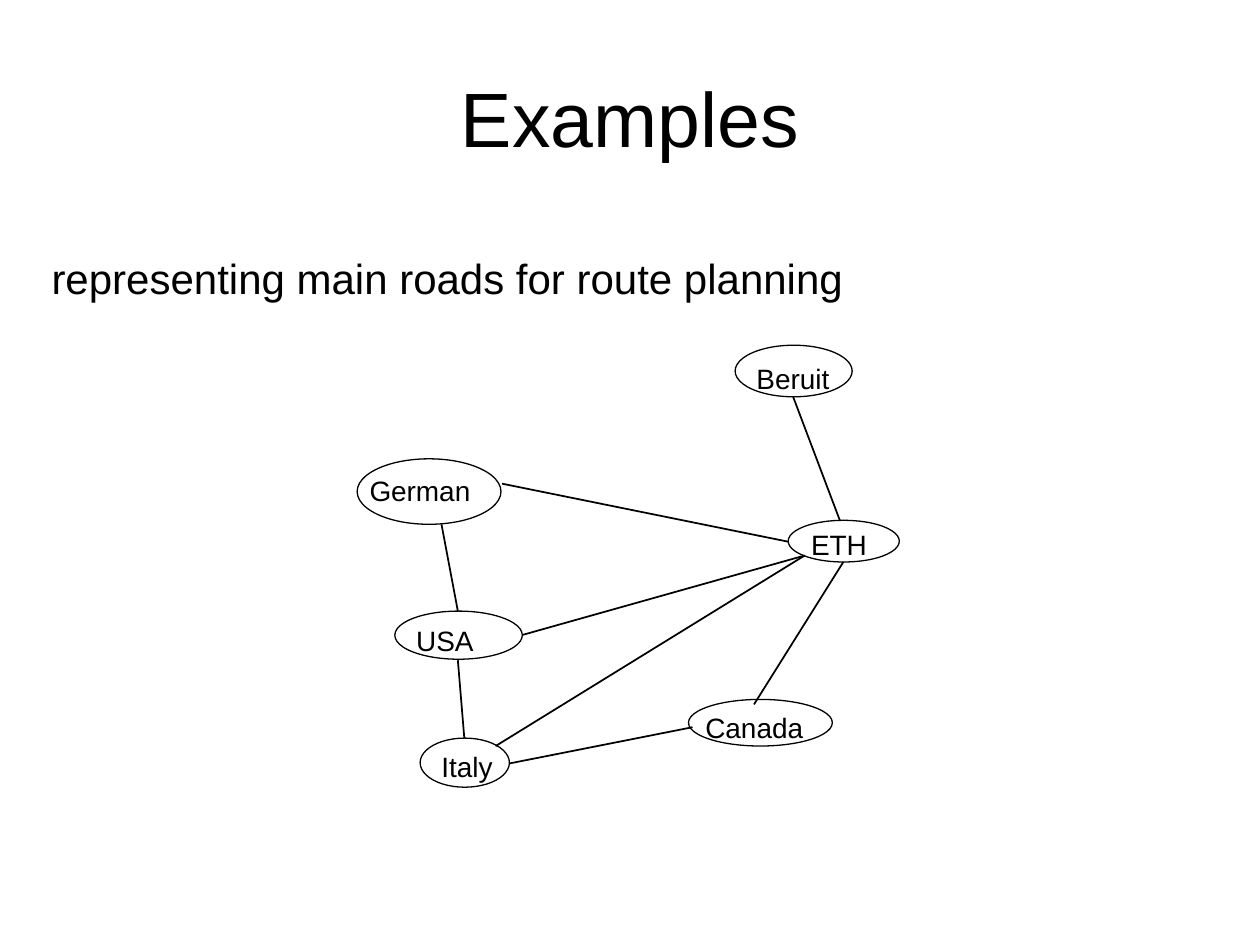
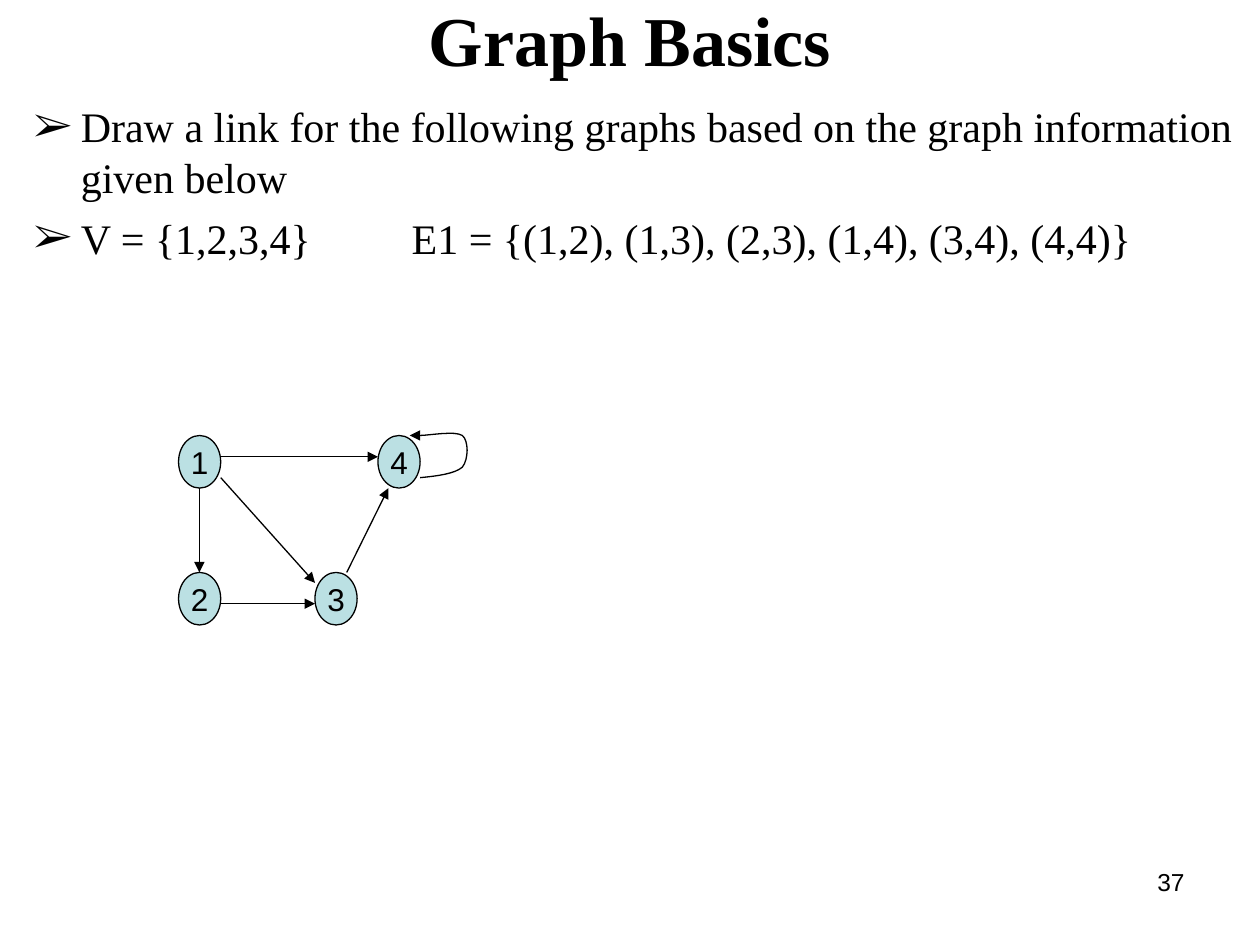
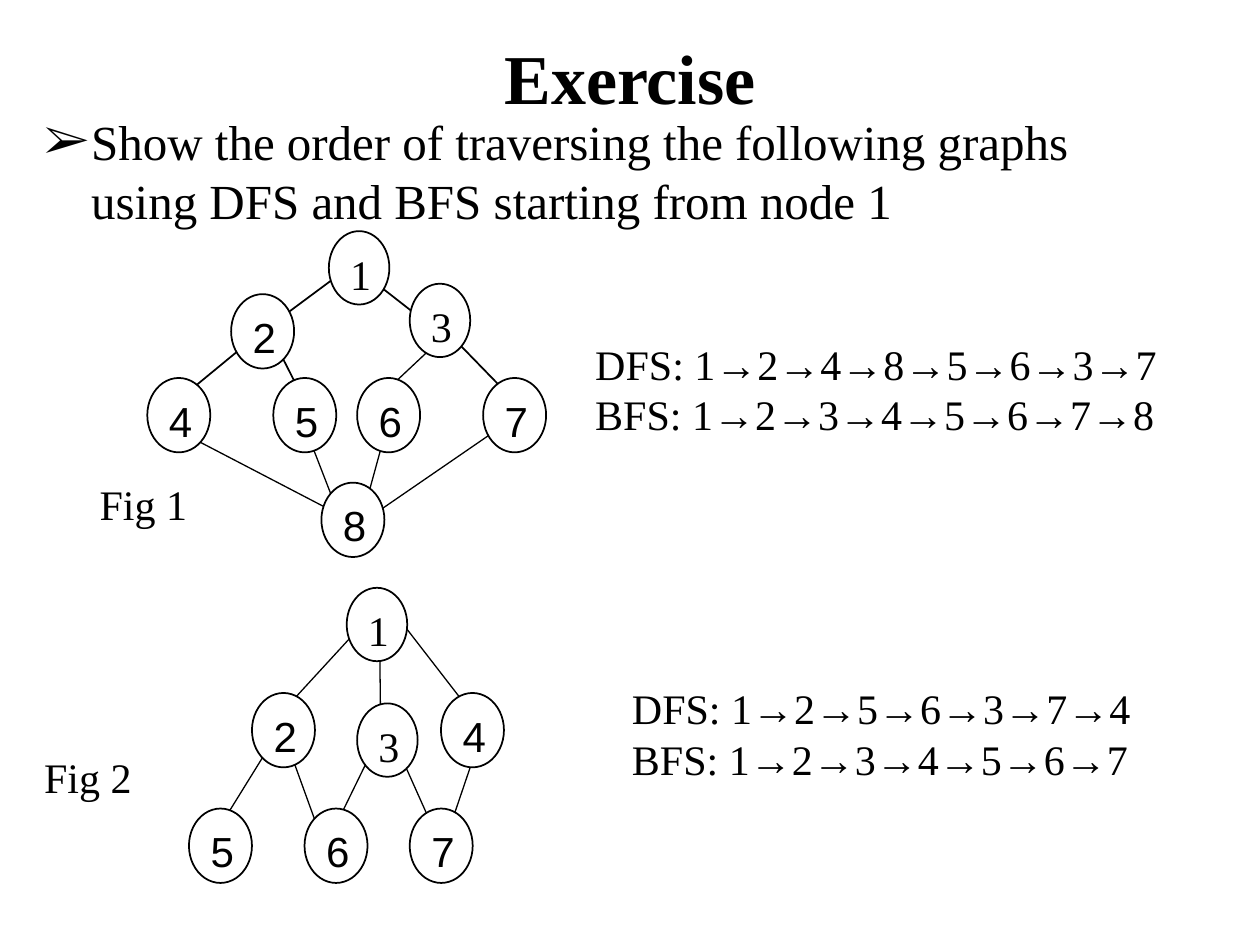
from pptx import Presentation
from pptx.dml.color import RGBColor
from pptx.enum.shapes import MSO_CONNECTOR, MSO_SHAPE
from pptx.enum.text import MSO_ANCHOR, PP_ALIGN
from pptx.oxml.ns import qn
from pptx.util import Cm, Pt
from lxml.etree import SubElement

BLACK = "000000"
WHITE = "FFFFFF"
TEAL = "BBE0E3"
SANS = "Arial"
SERIF = "Times New Roman"
THIN = 0.75
THICK = 1
HANG = 0.95

CITIES = [
    ("German", (0, 2.29, 2.9, 1.32), (0, 2.46, 3.33)),
    ("USA", (0.76, 5.36, 2.57, 0.97), (0.94, 5.48, 1.75)),
    ("Italy", (1.27, 7.92, 1.8, 0.99), (1.45, 8.03, 1.65)),
    ("ETH", (8.69, 3.53, 2.24, 0.84), (8.9, 3.55, 1.75)),
    ("Canada", (6.68, 7.14, 2.9, 0.94), (6.77, 7.24, 2.6)),
    ("Beruit", (7.62, 0, 2.36, 1.04), (7.8, 0.2, 2.1)),
]
ROADS = [
    (2.92, 2.79, 8.69, 3.96),
    (3.33, 5.84, 9.02, 4.24),
    (2.79, 8.08, 9.02, 4.24),
    (9.73, 3.53, 8.79, 1.04),
    (9.8, 4.37, 8, 7.24),
    (2.03, 5.36, 1.7, 3.61),
    (2.16, 7.92, 2.03, 6.35),
    (3.07, 8.43, 6.76, 7.7),
]

POINTS = {"1": (0, 0.1), "4": (4.02, 0.1), "2": (0, 2.86), "3": (2.75, 2.86)}
LINKS = [
    (0.85, 0.53, 4.02, 0.53),
    (0.85, 0.95, 2.75, 3.07),
    (3.39, 2.86, 4.23, 1.16),
    (0.85, 3.49, 2.75, 3.49),
    (0.42, 1.16, 0.42, 2.86),
]
LOOP = [
    (4.87, 0.95), (5.21, 0.92), (5.57, 0.87), (5.72, 0.74),
    (5.85, 0.58), (5.85, 0.2), (5.72, 0.1),
    (5.57, 0), (5.04, 0.1), (4.87, 0.1),
    (4.69, 0.1), (4.69, 0.1), (4.66, 0.1),
]

NODES_ONE = {
    "1": (3.66, 0), "2": (1.69, 1.27), "3": (5.29, 1.06), "4": (0, 2.96),
    "5": (2.54, 2.96), "6": (4.23, 2.96), "7": (6.77, 2.96), "8": (3.51, 5.07),
}
EDGES_ONE = [
    (3.82, 0.91, 2.62, 1.8, THICK),
    (4.43, 0.91, 5.57, 1.8, THICK),
    (2.27, 2.05, 0.69, 3.35, THICK),
    (2.47, 2.05, 3.13, 3.35, THICK),
    (6.26, 2.25, 7.3, 3.32, THICK),
    (6, 2.1, 4.86, 3.17, THIN),
    (3.13, 3.83, 3.82, 5.61, THIN),
    (4.86, 3.83, 4.43, 5.4, THIN),
    (4.71, 5.61, 7.3, 3.83, THIN),
    (3.67, 5.61, 0.69, 4.06, THIN),
]
NODES_TWO = {
    "1": (3.18, 0), "2": (1.27, 2.12), "3": (3.39, 2.33), "4": (5.08, 2.12),
    "5": (0, 4.45), "6": (2.33, 4.45), "7": (4.45, 4.45),
}
EDGES_TWO = [
    (3.56, 0.67, 1.88, 2.5, THIN),
    (3.84, 0.75, 3.86, 2.5, THIN),
    (4.19, 0.57, 5.66, 2.47, THIN),
    (1.57, 3.28, 0.53, 4.96, THIN),
    (2.03, 3.28, 2.62, 4.91, THIN),
    (3.73, 3.21, 2.9, 4.91, THIN),
    (4.19, 3.21, 4.95, 4.91, THIN),
    (5.79, 3.26, 5.18, 5.06, THIN),
]


def paint(target, shade):
    target.rgb = RGBColor.from_string(shade)


def style(para, size, face=SANS, bold=False, align=PP_ALIGN.LEFT):
    para.alignment = align
    font = para.font
    font.size = Pt(size)
    font.name = face
    font.bold = bold
    paint(font.color, BLACK)


def stroke(line, width, arrow=False):
    line.width = Pt(width)
    line.fill.solid()
    paint(line.fill.fore_color, BLACK)
    if arrow:
        SubElement(line._get_or_add_ln(), qn("a:tailEnd"), type="triangle")


def indent(para, left, hang=0):
    props = para._p.get_or_add_pPr()
    props.set("marL", str(Cm(left)))
    props.set("indent", str(-Cm(hang)))
    return props


def write(shapes, box, lines, size, face=SANS, bold=False, align=PP_ALIGN.LEFT, left=0):
    frame = shapes.add_textbox(*map(Cm, box)).text_frame
    frame.word_wrap = True
    for i, line in enumerate(lines):
        para = frame.add_paragraph() if i else frame.paragraphs[0]
        para.text = line
        if left:
            indent(para, left)
        style(para, size, face, bold, align)
    return frame


def title(slide, box, words, size=40, face=SERIF, bold=True):
    frame = write(slide.shapes, box, [words], size, face, bold, PP_ALIGN.CENTER)
    frame.vertical_anchor = MSO_ANCHOR.MIDDLE


def bullets(slide, box, items, size, gap=0):
    frame = slide.shapes.add_textbox(*map(Cm, box)).text_frame
    frame.word_wrap = True
    for i, item in enumerate(items):
        para = frame.add_paragraph() if i else frame.paragraphs[0]
        para.text = item
        if i:
            para.space_before = Pt(gap)
        props = indent(para, HANG, HANG)
        SubElement(props, qn("a:buFont"), typeface=SERIF)
        SubElement(props, qn("a:buChar"), char="➢")
        if "\t" in item:
            tabs = SubElement(props, qn("a:tabLst"))
            SubElement(tabs, qn("a:tab"), pos=str(Cm(7.62)), algn="l")
        style(para, size, SERIF)


def link(shapes, box, ends, width, arrow=False):
    x, y = box[:2]
    spots = [Cm(x + ends[0]), Cm(y + ends[1]), Cm(x + ends[2]), Cm(y + ends[3])]
    line = shapes.add_connector(MSO_CONNECTOR.STRAIGHT, *spots)
    stroke(line.line, width, arrow)
    SubElement(line._element.spPr, qn("a:effectLst"))


def block(shapes, kind, place, fill=None):
    shape = shapes.add_shape(kind, *map(Cm, place))
    shape.shadow.inherit = False
    if fill:
        shape.fill.solid()
        paint(shape.fill.fore_color, fill)
    else:
        shape.fill.background()
    return shape


def oval(shapes, box, place, width, fill=None):
    x, y, w, h = place
    shape = block(shapes, MSO_SHAPE.OVAL, (box[0] + x, box[1] + y, w, h), fill)
    stroke(shape.line, width)
    return shape


def label(shape, words, size, face, align=PP_ALIGN.LEFT, anchor=MSO_ANCHOR.TOP, wrap=True):
    frame = shape.text_frame
    frame.word_wrap = wrap
    frame.vertical_anchor = anchor
    frame.paragraphs[0].text = words
    style(frame.paragraphs[0], size, face, align=align)


def caption(slide, box, words, align=PP_ALIGN.LEFT):
    shape = block(slide.shapes, MSO_SHAPE.RECTANGLE, box, WHITE)
    shape.line.fill.background()
    label(shape, words, 24, SERIF, align)


def roadmap(slide, box):
    shapes = slide.shapes.add_group_shape().shapes
    for road in ROADS:
        link(shapes, box, road, THICK)
    for name, place, (x, y, w) in CITIES:
        oval(shapes, box, place, THIN)
        write(shapes, (box[0] + x, box[1] + y, w, 0.94), [name], 16)


def bend(points, steps=8):
    yield points[0]
    for i in range(0, len(points) - 1, 3):
        four = points[i:i + 4]
        for step in range(1, steps + 1):
            t = step / steps
            s = 1 - t
            parts = (s ** 3, 3 * s * s * t, 3 * s * t * t, t ** 3)
            yield tuple(sum(k * p[axis] for k, p in zip(parts, four)) for axis in (0, 1))


def digraph(slide, box):
    shapes = slide.shapes
    for name, (x, y) in POINTS.items():
        shape = oval(shapes, box, (x, y, 0.85, 1.06), THIN, TEAL)
        label(shape, name, 18, SANS, PP_ALIGN.CENTER, MSO_ANCHOR.MIDDLE, False)
    for ends in LINKS:
        link(shapes, box, ends, THIN, True)
    spots = [(Cm(box[0] + x), Cm(box[1] + y)) for x, y in bend(LOOP)]
    pen = shapes.build_freeform(*spots[0])
    pen.add_line_segments(spots[1:], close=False)
    curve = pen.convert_to_shape()
    curve.shadow.inherit = False
    curve.fill.background()
    stroke(curve.line, THIN, True)


def figure(slide, box, nodes, edges):
    for *ends, width in edges:
        link(slide.shapes, box, ends, width)
    for name, (x, y) in nodes.items():
        small = name in "13"
        size = (1.22, 1.48) if small else (1.27, 1.5)
        shape = oval(slide.shapes, box, (x, y, *size), THICK, WHITE)
        label(shape, name, 24, SERIF if small else SANS)


def answer(slide, box, left, deep, broad):
    lines = [f"{kind}: {'→'.join(order)}" for kind, order in (("DFS", deep), ("BFS", broad))]
    write(slide.shapes, box, lines, 24, SERIF, left=left)


def examples(slide):
    title(slide, (1.27, 0.76, 22.86, 3.18), "Examples", 44, SANS, False)
    write(slide.shapes, (0.79, 4.97, 19.43, 1.27),
          ["representing main roads for route planning"], 24)
    roadmap(slide, (7.2, 6.96))


def basics(slide):
    title(slide, (1.27, 0.2, 22.86, 1.14), "Graph Basics")
    bullets(slide, (0.43, 1.91, 24.72, 8.26), [
        "Draw a link for the following graphs based on the graph information given below",
        "V = {1,2,3,4}\tE1 = {(1,2), (1,3), (2,3), (1,4), (3,4), (4,4)}",
    ], 24, 6)
    digraph(slide, (3.6, 8.68))
    write(slide.shapes, (18.21, 17.35, 5.92, 1.32), ["37"], 14, align=PP_ALIGN.RIGHT)


def tasks(slide):
    title(slide, (1.27, 0.76, 22.86, 1.57), "Exercise")
    bullets(slide, (0.64, 2.12, 23.5, 16.08), [
        "Show the order of traversing the following graphs using DFS and BFS starting from node 1",
    ], 28)
    caption(slide, (0.64, 9.53, 4.5, 1.4), "Fig 1", PP_ALIGN.CENTER)
    caption(slide, (0.64, 15.03, 3.68, 1.02), "Fig 2")
    figure(slide, (2.97, 4.66), NODES_ONE, EDGES_ONE)
    figure(slide, (3.81, 11.85), NODES_TWO, EDGES_TWO)
    answer(slide, (11.43, 6.7, 13.13, 3.3), 0.32, "12485637", "12345678")
    answer(slide, (11.22, 13.64, 13.54, 3.3), 1.27, "1256374", "1234567")


def main():
    deck = Presentation()
    deck.slide_width = Cm(25.4)
    deck.slide_height = Cm(19.05)
    for build in (examples, basics, tasks):
        build(deck.slides.add_slide(deck.slide_layouts[6]))
    deck.save("out.pptx")


if __name__ == "__main__":
    main()
